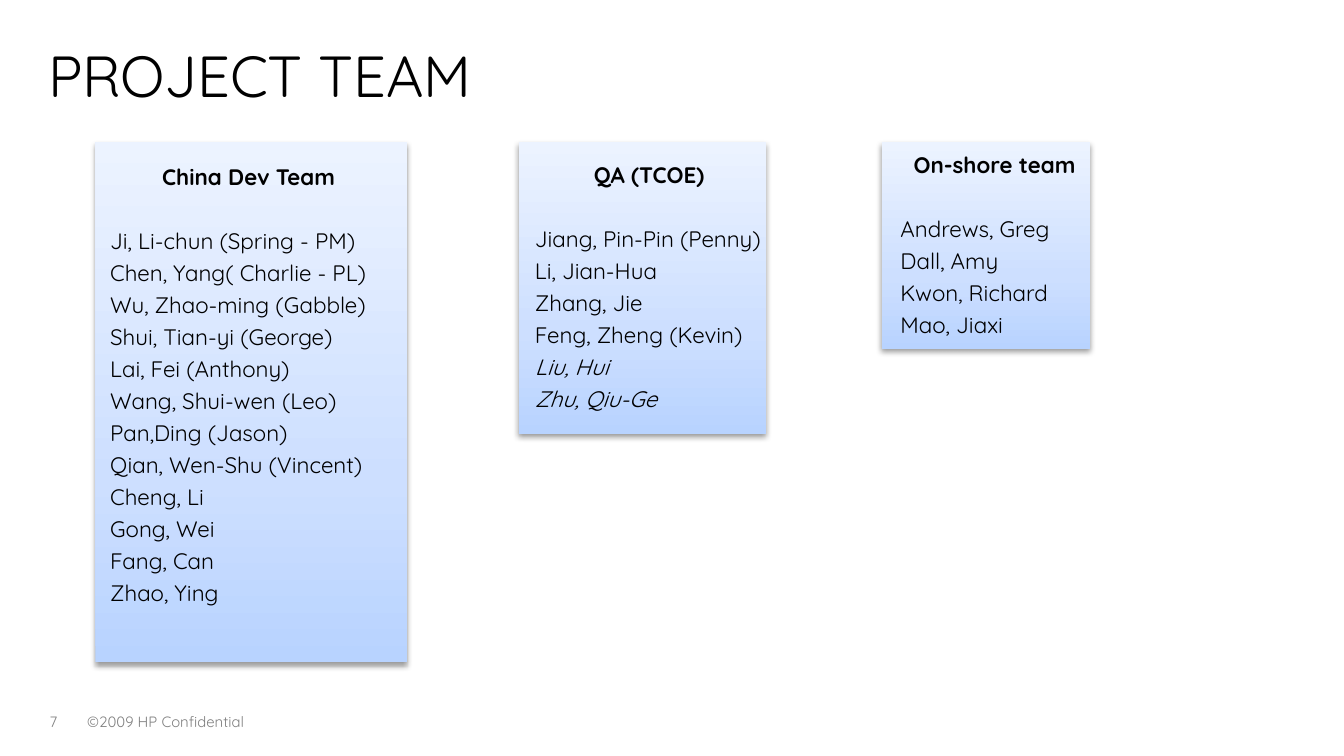
import pptx
import pptx.dml.color
import pptx.enum.shapes
import pptx.enum.text
import pptx.oxml
import pptx.oxml.ns
import pptx.util

Inches = pptx.util.Inches
Pt = pptx.util.Pt
RGBColor = pptx.dml.color.RGBColor
Anchor = pptx.enum.text.MSO_ANCHOR
Align = pptx.enum.text.PP_ALIGN

FONT = "Quicksand"
BLACK = RGBColor(0x00, 0x00, 0x00)
GRAY = RGBColor(0x80, 0x80, 0x80)
LIGHT_GRAY = RGBColor(0x7F, 0x7F, 0x7F)
PANEL_STOPS = [
    (0, RGBColor(0xB8, 0xD3, 0xFF)),
    (35, RGBColor(0xCD, 0xDF, 0xFF)),
    (100, RGBColor(0xEC, 0xF3, 0xFF)),
]

PANEL_TOP = 1.06
NAME_GAP = 4.2
HEADING_GAP = 21.4

TEAMS = [
    {
        "heading": "China Dev Team",
        "names": [
            "Ji, Li-chun (Spring - PM)", "Chen, Yang( Charlie - PL)",
            "Wu, Zhao-ming (Gabble)", "Shui, Tian-yi (George)",
            "Lai, Fei (Anthony)", "Wang, Shui-wen (Leo)",
            "Pan,Ding (Jason)", "Qian, Wen-Shu (Vincent)",
            "Cheng, Li", "Gong, Wei", "Fang, Can", "Zhao, Ying",
        ],
        "panel": (0.71, 2.32), "text": (0.81, 2.08),
        "height": 3.87, "bottom_inset": 0.25,
    },
    {
        "heading": "QA (TCOE)",
        "names": ["Jiang, Pin-Pin (Penny)", "Li, Jian-Hua", "Zhang, Jie", "Feng, Zheng (Kevin)"],
        "italic_names": ["Liu, Hui", "Zhu, Qiu-Ge"],
        "panel": (3.86, 1.84), "text": (3.97, 1.72), "height": 2.17,
    },
    {
        "heading": "On-shore team",
        "names": ["Andrews, Greg", "Dall, Amy", "Kwon, Richard", "Mao, Jiaxi"],
        "panel": (6.56, 1.55), "text": (6.69, 1.42), "height": 1.54,
    },
]


def add_text_box(shapes, left, top, width, height, anchor=Anchor.TOP):
    shape = shapes.add_textbox(Inches(left), Inches(top), Inches(width), Inches(height))
    frame = shape.text_frame
    frame.word_wrap = True
    frame.vertical_anchor = anchor
    return frame


def write_text(paragraph, text, size=12, color=BLACK, bold=False, italic=False,
               align=Align.LEFT, line_spacing=None, after=0):
    paragraph.alignment = align
    paragraph.line_spacing = line_spacing
    paragraph.space_after = Pt(after)
    run = paragraph.add_run()
    run.text = text
    run.font.name = FONT
    run.font.size = Pt(size)
    run.font.color.rgb = color
    run.font.bold = bold
    run.font.italic = italic


def add_panel(shapes, left, top, width, height):
    shape = shapes.add_shape(pptx.enum.shapes.MSO_SHAPE.RECTANGLE,
                             Inches(left), Inches(top), Inches(width), Inches(height))
    shape.line.fill.background()
    stops = "".join(
        f'<a:gs pos="{position * 1000}"><a:srgbClr val="{color}"/></a:gs>'
        for position, color in PANEL_STOPS
    )
    namespace = pptx.oxml.ns.nsdecls("a")
    gradient = pptx.oxml.parse_xml(
        f'<a:gradFill {namespace} rotWithShape="1"><a:gsLst>{stops}</a:gsLst>'
        '<a:lin ang="16200000" scaled="0"/></a:gradFill>')
    shadow = pptx.oxml.parse_xml(
        f'<a:effectLst {namespace}><a:outerShdw blurRad="{Pt(3.1)}" dist="{Pt(1.6)}" '
        'dir="5400000" rotWithShape="0"><a:srgbClr val="000000">'
        '<a:alpha val="38000"/></a:srgbClr></a:outerShdw></a:effectLst>')
    properties = shape.element.spPr
    properties.find(pptx.oxml.ns.qn("a:prstGeom")).addnext(gradient)
    properties.append(shadow)


def add_team(slide, heading, names, panel, text, height, italic_names=(), bottom_inset=0.01):
    shapes = slide.shapes.add_group_shape().shapes
    panel_left, panel_width = panel
    add_panel(shapes, panel_left, PANEL_TOP, panel_width, height)
    text_left, text_width = text
    frame = add_text_box(shapes, text_left, PANEL_TOP, text_width, height, Anchor.MIDDLE)
    frame.margin_left = frame.margin_right = frame.margin_top = Inches(0.01)
    frame.margin_bottom = Inches(bottom_inset)
    write_text(frame.paragraphs[0], heading, bold=True, align=Align.CENTER,
               line_spacing=0.9, after=HEADING_GAP)
    for name in [*names, *italic_names]:
        write_text(frame.add_paragraph(), name, italic=name in italic_names,
                   line_spacing=0.9, after=NAME_GAP)


def add_footer(slide):
    notice = add_text_box(slide.shapes, 0.55, 5.25, 4.31, 0.24).paragraphs[0]
    write_text(notice, "©", size=8, color=GRAY)
    write_text(notice, "2009 HP Confidential", size=8, color=LIGHT_GRAY)
    number = add_text_box(slide.shapes, 0.27, 5.25, 0.42, 0.24).paragraphs[0]
    write_text(number, "7", size=8, color=GRAY)


def main():
    presentation = pptx.Presentation()
    presentation.slide_width = Inches(10)
    presentation.slide_height = Inches(10 * 9 / 16)
    slide = presentation.slides.add_slide(presentation.slide_layouts[6])
    add_footer(slide)
    title = add_text_box(slide.shapes, 0.26, 0.32, 9.16, 0.55, Anchor.MIDDLE)
    write_text(title.paragraphs[0], "PROJECT TEAM", size=31, line_spacing=Pt(31))
    for team in TEAMS:
        add_team(slide, **team)
    presentation.save("out.pptx")


if __name__ == "__main__":
    main()
